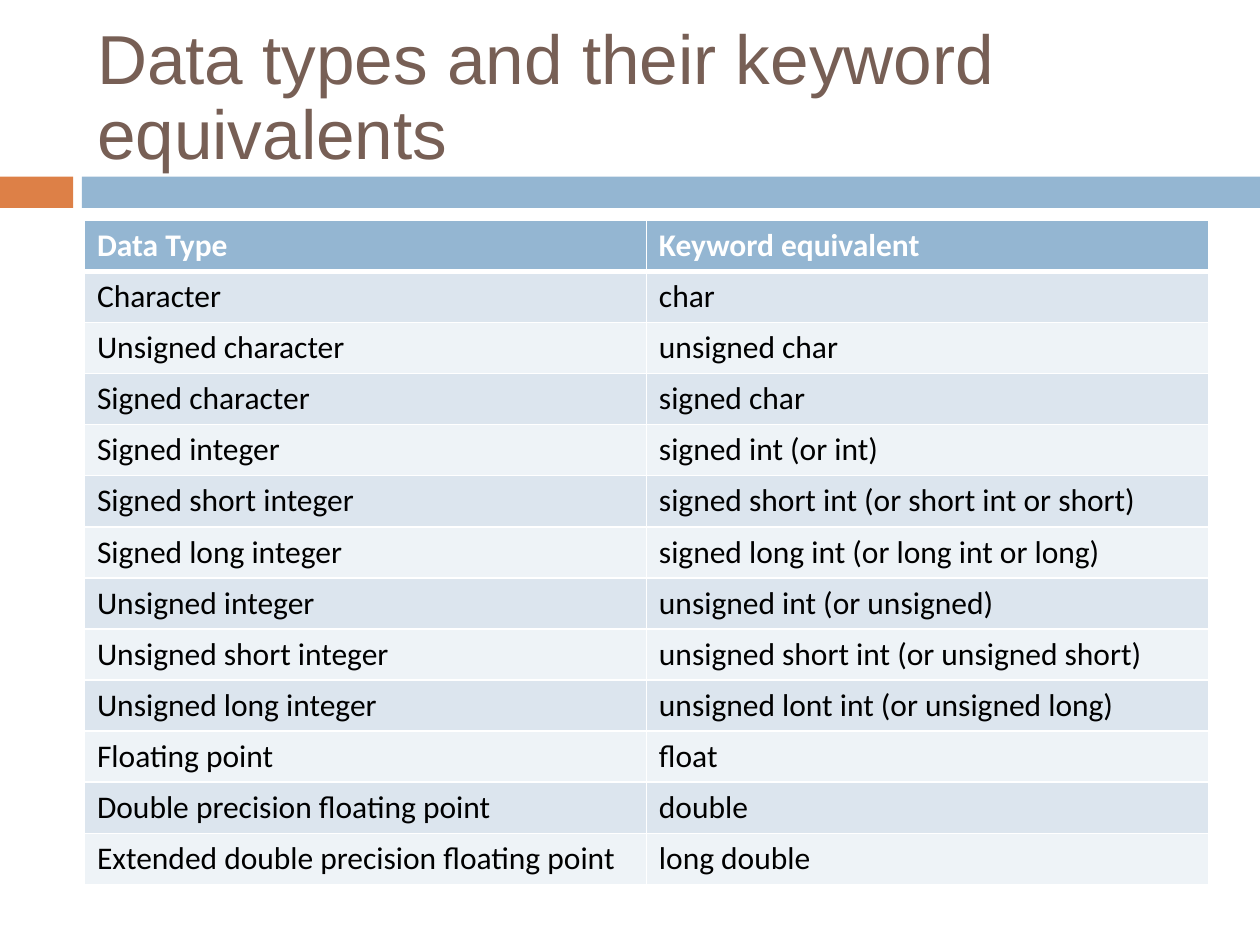
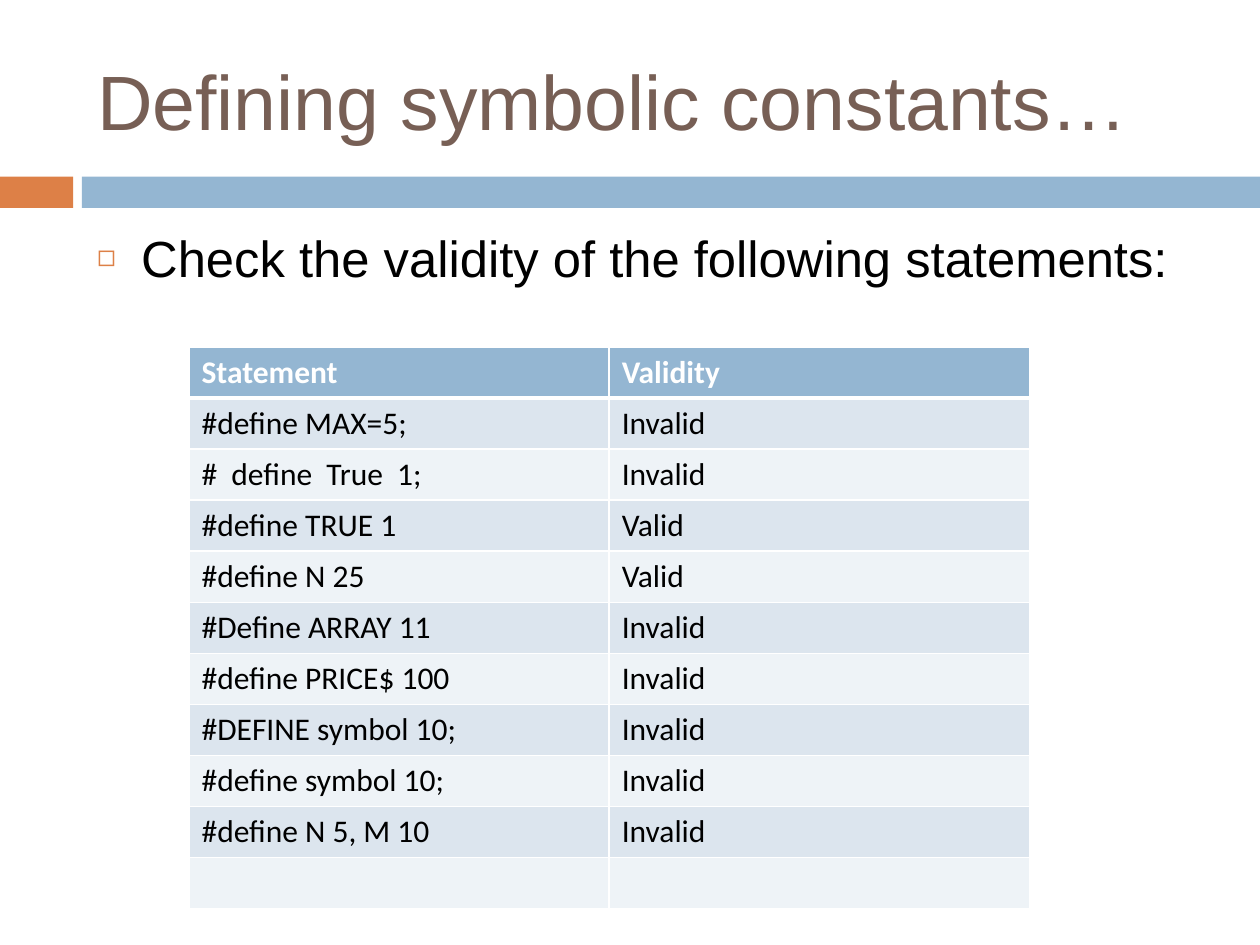
import pptx
import pptx.dml.color
import pptx.enum.shapes
import pptx.enum.text
import pptx.oxml
import pptx.oxml.ns
import pptx.util

WIDTH, HEIGHT = 10, 7.5
ORANGE, BLUE, BROWN = "DD8047", "94B6D2", "775F55"
WHITE, BLACK = "FFFFFF", "000000"
ROW_FILLS = ("EEF3F7", "DCE5EE")

# Boxes are left, top, width, height as shares of the slide.
TITLE_BOX = (0.067, 0.033, 0.892, 0.144)
BODY_BOX = (0.067, 0.233, 0.892, 0.656)
BAND_TOP, BAND_HEIGHT = 0.187, 0.033
BANDS = ((0, 0.058, ORANGE), (0.065, 0.935, BLUE))
ROW_HEIGHT = 0.054

DATA_TYPES = (
    ("Data Type", "Keyword equivalent"),
    ("Character", "char"),
    ("Unsigned character", "unsigned char"),
    ("Signed character", "signed char"),
    ("Signed integer", "signed int (or int)"),
    ("Signed short integer", "signed short int (or short int or short)"),
    ("Signed long integer", "signed long int (or long int or long)"),
    ("Unsigned integer", "unsigned int (or unsigned)"),
    ("Unsigned short integer", "unsigned short int (or unsigned short)"),
    ("Unsigned long integer", "unsigned lont int (or unsigned long)"),
    ("Floating point", "float"),
    ("Double precision floating point", "double"),
    ("Extended double precision floating point", "long double"),
)
STATEMENTS = (
    ("Statement", "Validity"),
    ("#define MAX=5;", "Invalid"),
    ("#  define  True  1;", "Invalid"),
    ("#define TRUE 1", "Valid"),
    ("#define N 25", "Valid"),
    ("#Define ARRAY 11", "Invalid"),
    ("#define PRICE$ 100", "Invalid"),
    ("#DEFINE symbol 10;", "Invalid"),
    ("#define symbol 10;", "Invalid"),
    ("#define N 5, M 10", "Invalid"),
    ("", ""),
)


def color(value):
    return pptx.dml.color.RGBColor.from_string(value)


def lengths(box):
    """Turn shares of the slide into lengths."""
    return [pptx.util.Inches(share * side)
            for share, side in zip(box, (WIDTH, HEIGHT) * 2)]


def set_values(target, values):
    for name, value in values.items():
        setattr(target, name, value)


def write(para, text, size, font, text_color, bold=False):
    span = para.add_run()
    span.text = text
    set_values(span.font, {"size": pptx.util.Pt(size), "name": font, "bold": bold})
    span.font.color.rgb = color(text_color)


def place(holder, box, anchor):
    """Move a placeholder and return its first paragraph."""
    set_values(holder, dict(zip(("left", "top", "width", "height"), lengths(box))))
    frame = holder.text_frame
    set_values(frame, {"auto_size": pptx.enum.text.MSO_AUTO_SIZE.NONE,
                       "word_wrap": True, "vertical_anchor": anchor})
    para = frame.paragraphs[0]
    set_values(para, {"alignment": pptx.enum.text.PP_ALIGN.LEFT,
                      "space_before": pptx.util.Pt(0)})
    return para


def add_bands(page):
    """Draw the two bands behind the title."""
    for left, width, fill in BANDS:
        band = page.shapes.add_shape(
            pptx.enum.shapes.MSO_SHAPE.RECTANGLE,
            *lengths((left, BAND_TOP, width, BAND_HEIGHT)))
        band.shadow.inherit = False
        band.fill.solid()
        band.fill.fore_color.rgb = color(fill)
        band.line.fill.background()
        page.shapes.title.element.addprevious(band.element)


def add_page(deck, layout, title, size, line_spacing=1.0):
    page = deck.slides.add_slide(deck.slide_layouts[layout])
    add_bands(page)
    para = place(page.shapes.title, TITLE_BOX, pptx.enum.text.MSO_ANCHOR.MIDDLE)
    para.line_spacing = line_spacing
    write(para, title, size, "Arial", BROWN)
    return page


def add_bullet(para):
    properties = para._p.get_or_add_pPr()
    indent = pptx.util.Inches(0.35)
    properties.set("marL", str(indent))
    properties.set("indent", str(-indent))
    namespace = pptx.oxml.ns.nsdecls("a")
    for xml in (f'<a:buClr {namespace}><a:srgbClr val="{ORANGE}"/></a:buClr>',
                f'<a:buSzPct {namespace} val="60000"/>',
                f'<a:buFont {namespace} typeface="Arial"/>',
                f'<a:buChar {namespace} char="◻"/>'):
        properties.append(pptx.oxml.parse_xml(xml))


def add_body(page, text):
    para = place(page.placeholders[1], BODY_BOX, pptx.enum.text.MSO_ANCHOR.TOP)
    add_bullet(para)
    write(para, text, 29, "Arial", BLACK)


def add_borders(cell, widths):
    """Draw white cell borders; widths maps a side (L, R, T, B) to points."""
    properties = cell._tc.get_or_add_tcPr()
    for side, width in widths.items():
        properties.append(pptx.oxml.parse_xml(
            f'<a:ln{side} {pptx.oxml.ns.nsdecls("a")} w="{pptx.util.Pt(width)}">'
            f'<a:solidFill><a:srgbClr val="{WHITE}"/></a:solidFill></a:ln{side}>'))


def add_table(page, rows, left, top, width):
    """Add a table with a header row and two alternating row fills."""
    box = (left, top, width, ROW_HEIGHT * len(rows))
    table = page.shapes.add_table(len(rows), len(rows[0]), *lengths(box)).table
    for row, texts in enumerate(rows):
        header = row == 0
        for column, text in enumerate(texts):
            cell = table.cell(row, column)
            add_borders(cell, {"L": 1, "R": 1, "T": 3 if row == 1 else 1,
                               "B": 3 if header else 1})
            cell.fill.solid()
            cell.fill.fore_color.rgb = color(BLUE if header else ROW_FILLS[row % 2])
            if text:
                write(cell.text_frame.paragraphs[0], text, 18, "Calibri",
                      WHITE if header else BLACK, header)


def main():
    deck = pptx.Presentation()
    set_values(deck, {"slide_width": pptx.util.Inches(WIDTH),
                      "slide_height": pptx.util.Inches(HEIGHT)})

    # Tighter lines keep the two-line title clear of the bands.
    page = add_page(deck, 5, "Data types and their keyword equivalents", 39.6, 0.9)
    add_table(page, DATA_TYPES, 0.067, 0.233, 0.892)

    page = add_page(deck, 1, "Defining symbolic constants…", 44)
    add_body(page, "Check the validity of the following statements:")
    add_table(page, STATEMENTS, 0.15, 0.367, 0.667)

    deck.save("out.pptx")


if __name__ == "__main__":
    main()
